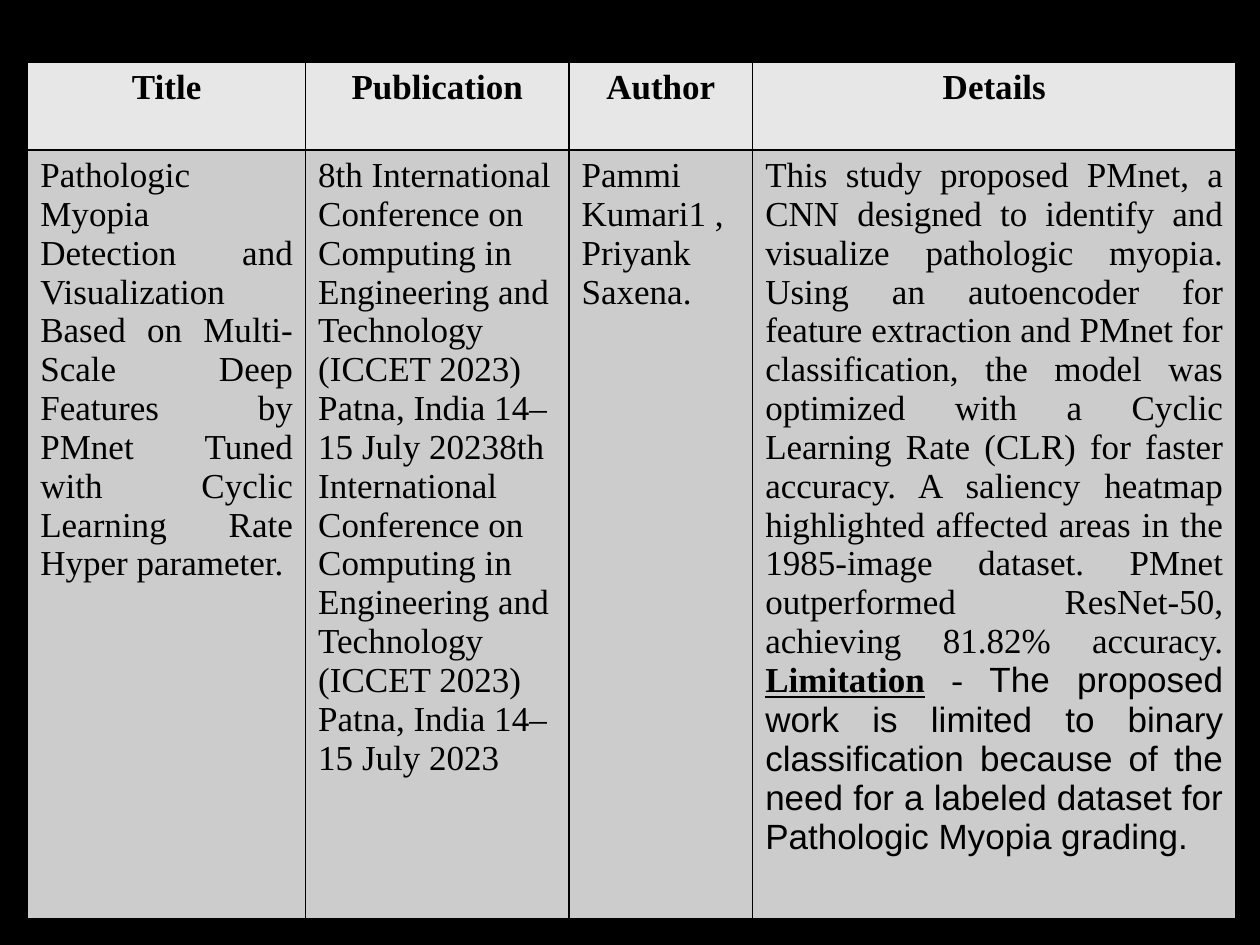
from dataclasses import dataclass

from lxml.etree import SubElement
from pptx import Presentation
from pptx.dml.color import RGBColor as RGB
from pptx.enum.text import PP_ALIGN as Align
from pptx.oxml.ns import qn
from pptx.util import Inches, Pt


@dataclass(frozen=True)
class Theme:
    ink: str = "000000"
    header: str = "E7E7E7"
    body: str = "CCCCCC"
    serif: str = "Times New Roman"
    sans: str = "Arial"
    size: float = 20
    border: float = 1


THEME = Theme()
BLANK_LAYOUT = 6

# Each column: share of the table width, heading, body alignment, and body
# paragraphs, each a list of (text, format) runs.
VENUE = ("8th International Conference on Computing in Engineering and "
         "Technology (ICCET 2023) Patna, India 14–15 July 2023")
COLUMNS = [
    (0.23, "Title", Align.JUSTIFY, [[
        ("Pathologic Myopia Detection and Visualization Based on Multi-Scale "
         "Deep Features by PMnet Tuned with Cyclic Learning Rate Hyper "
         "parameter.", {})]]),
    (0.218, "Publication", Align.LEFT, [[(VENUE * 2, {})]]),
    (0.152, "Author", Align.LEFT, [
        [("Pammi Kumari1 , Priyank", {})],
        [("Saxena.", {})]]),
    (0.4, "Details", Align.JUSTIFY, [[
        ("This study proposed PMnet, a CNN designed to identify and visualize "
         "pathologic myopia. Using an autoencoder for feature extraction and "
         "PMnet for classification, the model was optimized with a Cyclic "
         "Learning Rate (CLR) for faster accuracy. A saliency heatmap "
         "highlighted affected areas in the 1985-image dataset. PMnet "
         "outperformed ResNet-50, achieving 81.82% accuracy. ", {}),
        ("Limitation", {"bold": True, "underline": True}),
        (" - ", {}),
        ("The proposed work is limited to binary classification because of "
         "the need for a labeled dataset for Pathologic Myopia grading.",
         {"name": THEME.sans})]]),
]


class SlideBuilder:
    def __init__(self, prs, theme):
        self.theme = theme
        self.slide = prs.slides.add_slide(prs.slide_layouts[BLANK_LAYOUT])

    def background(self, color):
        fill = self.slide.background.fill
        fill.solid()
        fill.fore_color.rgb = RGB.from_string(color)

    def table(self, left, top, width, row_heights, columns):
        """Draw a heading row over a body row; lengths are in inches."""
        frame = self.slide.shapes.add_table(
            len(row_heights), len(columns), Inches(left), Inches(top),
            Inches(width), Inches(sum(row_heights)))
        table = frame.table
        for row, height in zip(table.rows, row_heights):
            row.height = Inches(height)
        for i, (share, heading, align, paragraphs) in enumerate(columns):
            table.columns[i].width = Inches(width * share)
            self.cell(table.cell(0, i), self.theme.header, Align.CENTER,
                      [[(heading, {"bold": True})]])
            self.cell(table.cell(1, i), self.theme.body, align, paragraphs)

    def cell(self, cell, color, align, paragraphs):
        self.borders(cell)
        cell.fill.solid()
        cell.fill.fore_color.rgb = RGB.from_string(color)
        tf = cell.text_frame
        for i, runs in enumerate(paragraphs):
            p = tf.add_paragraph() if i else tf.paragraphs[0]
            p.alignment = align
            for text, formats in runs:
                self.run(p, text, formats)

    def run(self, p, text, formats):
        r = p.add_run()
        r.text = text
        style = {"name": self.theme.serif, "size": Pt(self.theme.size),
                 "bold": False, "underline": False} | formats
        for name, value in style.items():
            setattr(r.font, name, value)
        r.font.color.rgb = RGB.from_string(self.theme.ink)

    def borders(self, cell):
        """Add the lines ahead of the fill, as the schema orders them."""
        props = cell._tc.get_or_add_tcPr()
        for side in ("lnL", "lnR", "lnT", "lnB"):
            line = SubElement(props, qn(f"a:{side}"),
                              w=str(Pt(self.theme.border)))
            fill = SubElement(line, qn("a:solidFill"))
            SubElement(fill, qn("a:srgbClr"), val=self.theme.ink)


def main():
    prs = Presentation()
    prs.slide_width, prs.slide_height = Inches(10), Inches(7.5)
    builder = SlideBuilder(prs, THEME)
    builder.background(THEME.ink)
    builder.table(0.22, 0.49, 9.59, [0.7, 6.1], COLUMNS)
    prs.save("out.pptx")


if __name__ == "__main__":
    main()
